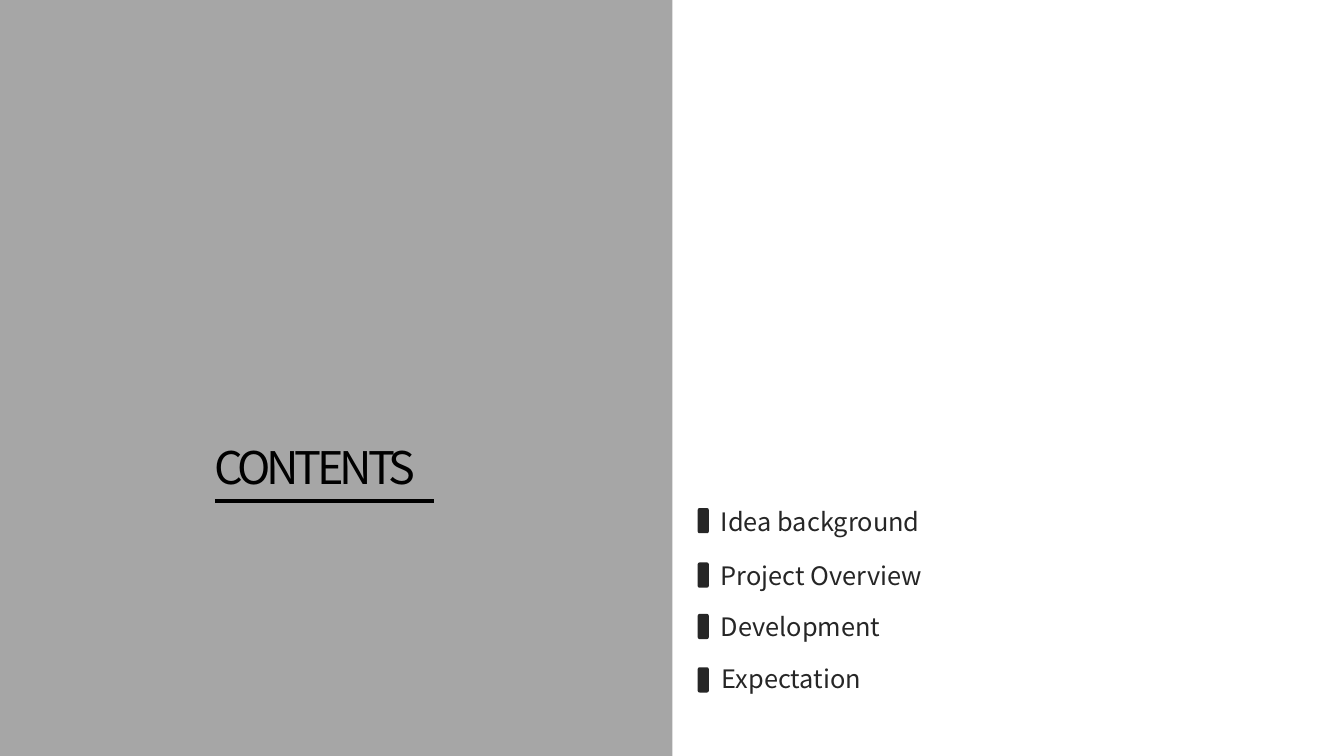
from dataclasses import dataclass

from lxml.etree import SubElement
from pptx import Presentation
from pptx.dml.color import RGBColor
from pptx.enum.shapes import MSO_CONNECTOR, MSO_SHAPE
from pptx.enum.text import MSO_ANCHOR, MSO_AUTO_SIZE
from pptx.oxml.ns import qn
from pptx.shapes.autoshape import Shape
from pptx.slide import Slide
from pptx.text.text import Font, TextFrame
from pptx.util import Inches, Pt

GREY = RGBColor(0xA6, 0xA6, 0xA6)
BLACK = RGBColor(0x00, 0x00, 0x00)
CHARCOAL = RGBColor(0x26, 0x26, 0x26)
FONT_NAME = "Noto Sans CJK KR"

SLIDE_WIDTH, SLIDE_HEIGHT = 13.33, 7.5
MARKER_LEFT, MARKER_WIDTH, MARKER_HEIGHT = 6.92, 0.11, 0.25
LABEL_WIDTH, LABEL_HEIGHT = 4.39, 0.41


@dataclass(frozen=True)
class Topic:
    label: str
    marker_top: float
    label_top: float
    label_left: float = 7.05


TOPICS = [
    Topic("Idea background", 5.04, 4.97),
    Topic("Project Overview", 5.58, 5.5),
    Topic("Development", 6.09, 6.01),
    Topic("Expectation", 6.62, 6.52, 7.06),
]


def paint(shape: Shape, color: RGBColor) -> None:
    shape.shadow.inherit = False
    shape.fill.solid()
    shape.fill.fore_color.rgb = color
    shape.line.fill.background()


def write(frame: TextFrame, text: str, size: float, color: RGBColor) -> Font:
    frame.word_wrap = True
    frame.auto_size = MSO_AUTO_SIZE.SHAPE_TO_FIT_TEXT
    run = frame.paragraphs[0].add_run()
    run.text = text
    run.font.name = FONT_NAME
    run.font.size = Pt(size)
    run.font.color.rgb = color
    return run.font


def add_heading(slide: Slide) -> None:
    heading = slide.shapes.add_textbox(
        Inches(2.01), Inches(4.3), Inches(2.76), Inches(0.66)
    )
    frame = heading.text_frame
    frame.margin_left = frame.margin_right = Inches(0.12)
    frame.margin_top = frame.margin_bottom = Inches(0.06)
    write(frame, "CONTENTS", 32.1, BLACK)
    # Letter spacing is in hundredths of a point
    frame.paragraphs[0].runs[0]._r.get_or_add_rPr().set("spc", "-300")

    underline = slide.shapes.add_connector(
        MSO_CONNECTOR.STRAIGHT, Inches(2.13), Inches(4.97), Inches(4.3), Inches(4.97)
    )
    underline.line.color.rgb = BLACK
    underline.line.width = Pt(3)
    SubElement(underline._element.spPr, qn("a:effectLst"))


def add_topic(slide: Slide, topic: Topic) -> None:
    entry = slide.shapes.add_group_shape().shapes
    marker = entry.add_shape(
        MSO_SHAPE.ROUNDED_RECTANGLE,
        Inches(MARKER_LEFT),
        Inches(topic.marker_top),
        Inches(MARKER_WIDTH),
        Inches(MARKER_HEIGHT),
    )
    paint(marker, CHARCOAL)
    label = entry.add_textbox(
        Inches(topic.label_left),
        Inches(topic.label_top),
        Inches(LABEL_WIDTH),
        Inches(LABEL_HEIGHT),
    )
    label.text_frame.vertical_anchor = MSO_ANCHOR.MIDDLE
    write(label.text_frame, topic.label, 18.1, CHARCOAL)


def main() -> None:
    deck = Presentation()
    deck.slide_width, deck.slide_height = Inches(SLIDE_WIDTH), Inches(SLIDE_HEIGHT)
    slide = deck.slides.add_slide(deck.slide_layouts[6])
    left_half = slide.shapes.add_shape(
        MSO_SHAPE.RECTANGLE, 0, 0, Inches(6.67), Inches(SLIDE_HEIGHT)
    )
    paint(left_half, GREY)
    add_heading(slide)
    for topic in TOPICS:
        add_topic(slide, topic)
    deck.save("out.pptx")


if __name__ == "__main__":
    main()
